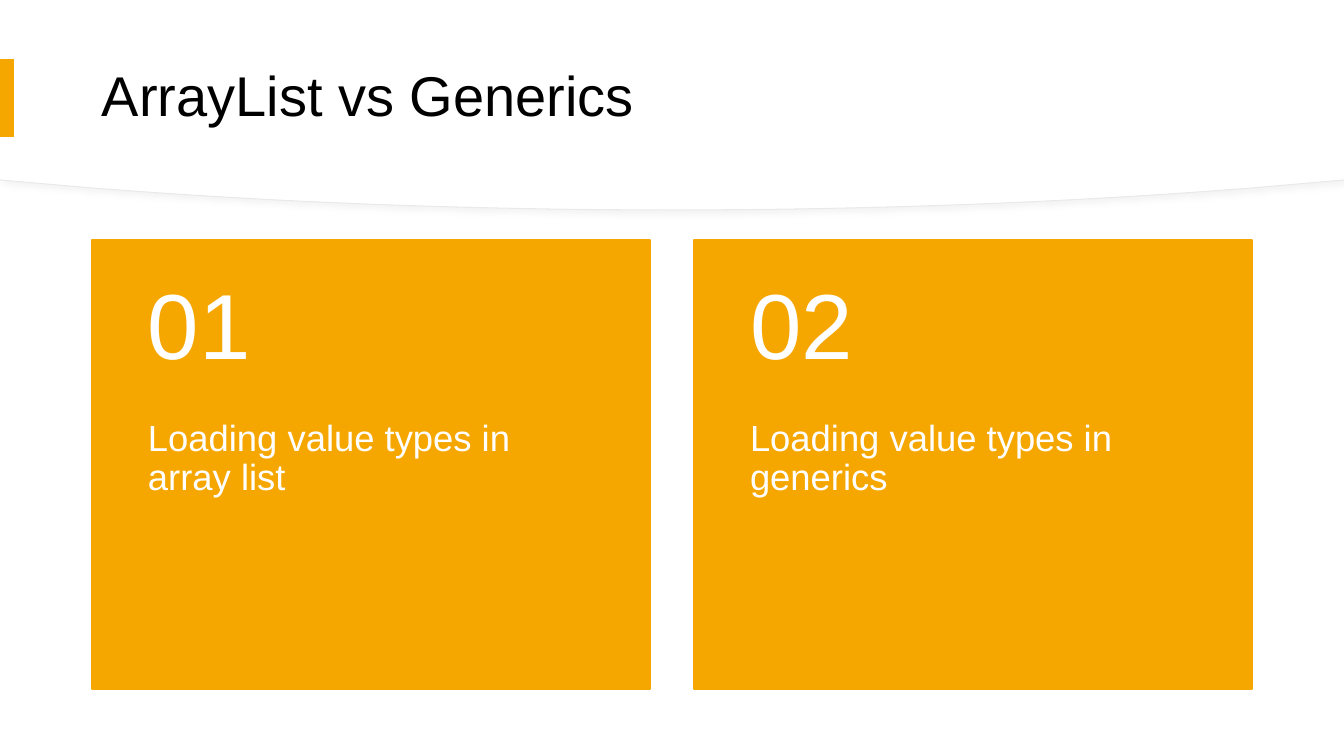
from lxml import etree
from pptx import Presentation
from pptx.dml.color import RGBColor
from pptx.enum.shapes import MSO_SHAPE
from pptx.enum.text import MSO_ANCHOR
from pptx.oxml import parse_xml
from pptx.oxml.ns import nsdecls, qn
from pptx.util import Pt

PX = 914400 / 100.8
RECT = MSO_SHAPE.RECTANGLE
TOP, MIDDLE = MSO_ANCHOR.TOP, MSO_ANCHOR.MIDDLE
WHITE = RGBColor(0xFF, 0xFF, 0xFF)
BLACK = RGBColor(0x00, 0x00, 0x00)
AMBER = RGBColor(0xF5, 0xA7, 0x00)
EDGE = RGBColor(0xE9, 0xE9, 0xE9)
SHADOW = (
    f'<a:outerShdw {nsdecls("a")} blurRad="50800" dist="38100" dir="2700000" algn="tl" rotWithShape="0">'
    '<a:srgbClr val="D9D9D9"><a:alpha val="30000"/></a:srgbClr></a:outerShdw>'
)


def px(*values):
    return [round(v * PX) for v in values]


def add_text(shapes, text, box, size, color=WHITE, anchor=MIDDLE, insets=(56, 18, 56, 18)):
    tf = shapes.add_textbox(*px(*box)).text_frame
    tf.word_wrap = True
    tf.vertical_anchor = anchor
    tf.margin_left, tf.margin_top, tf.margin_right, tf.margin_bottom = px(*insets)
    p = tf.paragraphs[0]
    p.line_spacing = 0.9
    r = p.add_run()
    r.text = text
    r.font.name, r.font.size = "Arial", Pt(size)
    r.font.color.rgb = color


prs = Presentation()
W, H = 1344, 756
prs.slide_width, prs.slide_height = px(W, H)
s = prs.slides.add_slide(prs.slide_layouts[6])
s.background.fill.solid()
s.background.fill.fore_color.rgb = WHITE

# Curved header: an edged panel with a shadow, then a plain one 1 px higher
STEPS = 24
for lift, edged in ((0, True), (1, False)):
    right = [(W, 180 - lift)]
    for i in range(STEPS + 1):
        t = i / STEPS
        weights = ((1 - t) ** 3, 3 * t * (1 - t) ** 2, 3 * t * t * (1 - t), t ** 3)
        x = sum(w * v for w, v in zip(weights, (1252, 1074, 878, 672)))
        y = sum(w * v for w, v in zip(weights, (188, 202, 210, 210)))
        right.append((x, y - lift))
    left = [(W - x, y) for x, y in reversed(right[:-1])]
    fb = s.shapes.build_freeform(0, 0)
    fb.add_line_segments([px(x, y) for x, y in [(W, 0)] + right + left])
    sp = fb.convert_to_shape()
    sp.shadow.inherit = False
    sp.fill.solid()
    sp.fill.fore_color.rgb = WHITE
    if edged:
        sp.line.color.rgb = EDGE
        sp.line.width = Pt(0.75)
        sp._element.spPr.find(qn("a:effectLst")).append(parse_xml(SHADOW))
    else:
        sp.line.fill.background()

# Title and accent bar
add_text(s.shapes, "ArrayList vs Generics", (92, 28, 1160, 140), 40, BLACK, insets=(10, 5, 10, 5))
bar = s.shapes.add_shape(RECT, *px(0, 59, 14, 78))
bar.shadow.inherit = False
bar.fill.solid()
bar.fill.fore_color.rgb = AMBER
bar.line.fill.background()

# Numbered cards
CARD_W, GAP, CARD_TOP = 558, 44, 240
NUMBER_H, BODY_H = 180, 269
cards = ("Loading value types in array list", "Loading value types in generics")
for i, body in enumerate(cards):
    x = 92 + i * (CARD_W + GAP)
    group = s.shapes.add_group_shape()
    card = group.shapes.add_shape(RECT, *px(x, CARD_TOP, CARD_W, NUMBER_H + BODY_H))
    card.shadow.inherit = False
    card.fill.solid()
    card.fill.fore_color.rgb = AMBER
    card.line.color.rgb = AMBER
    card.line.width = Pt(1)
    add_text(group.shapes, body, (x, CARD_TOP + NUMBER_H, CARD_W, BODY_H), 26,
             anchor=TOP, insets=(56, 0, 56, 36))
    add_text(group.shapes, f"{i + 1:02}", (x, CARD_TOP, CARD_W, NUMBER_H), 66)

prs.save("out.pptx")
